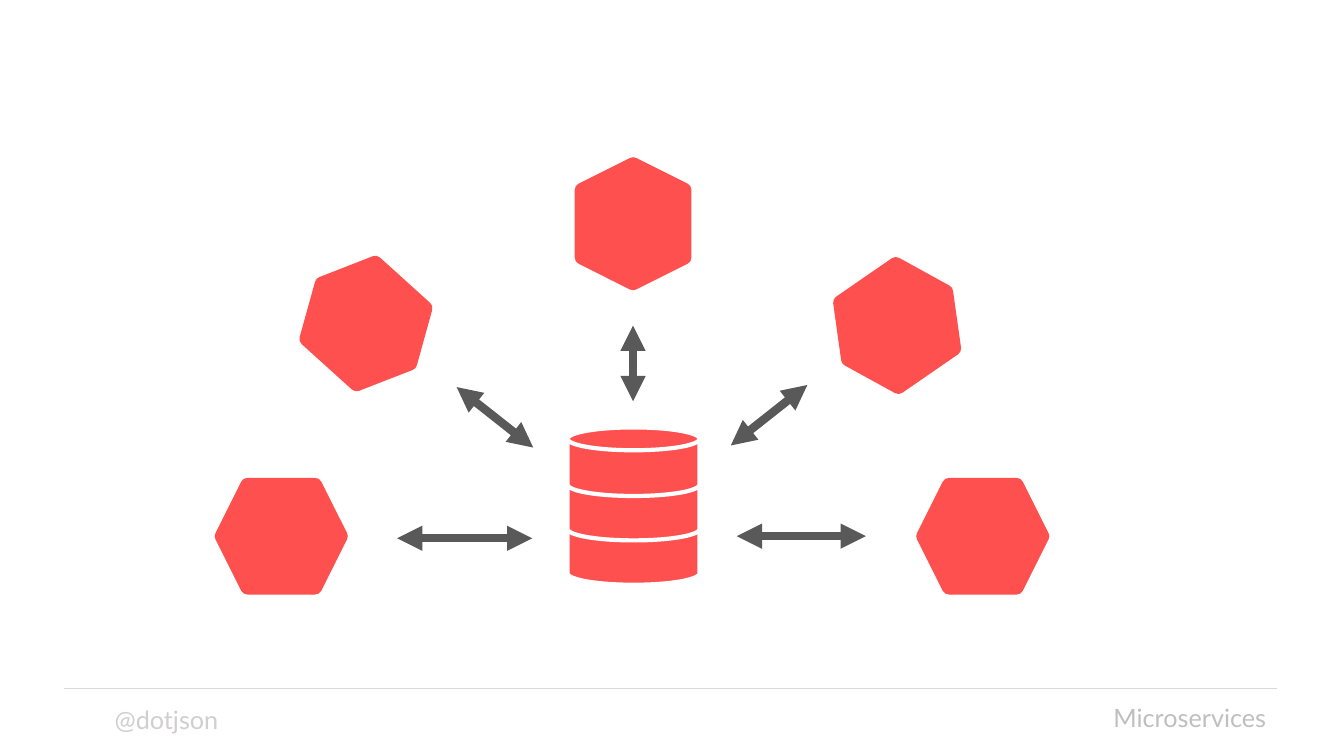
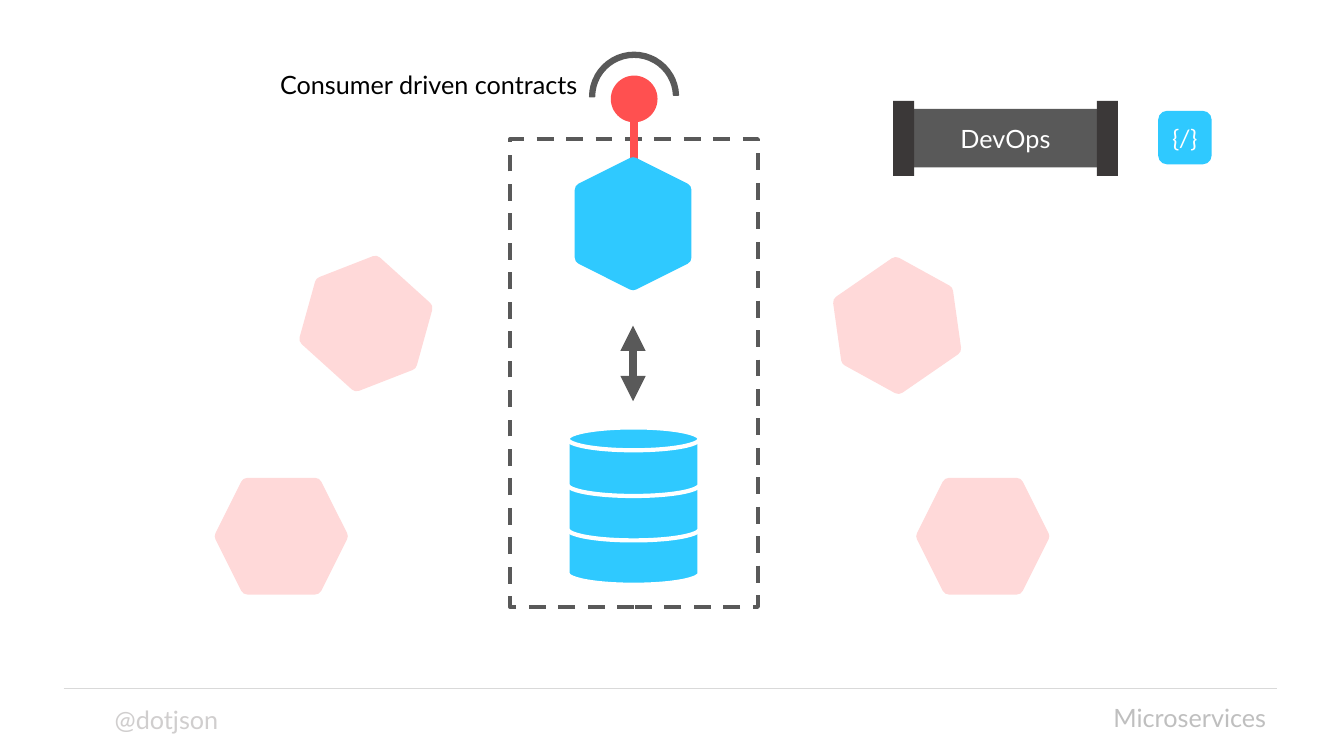
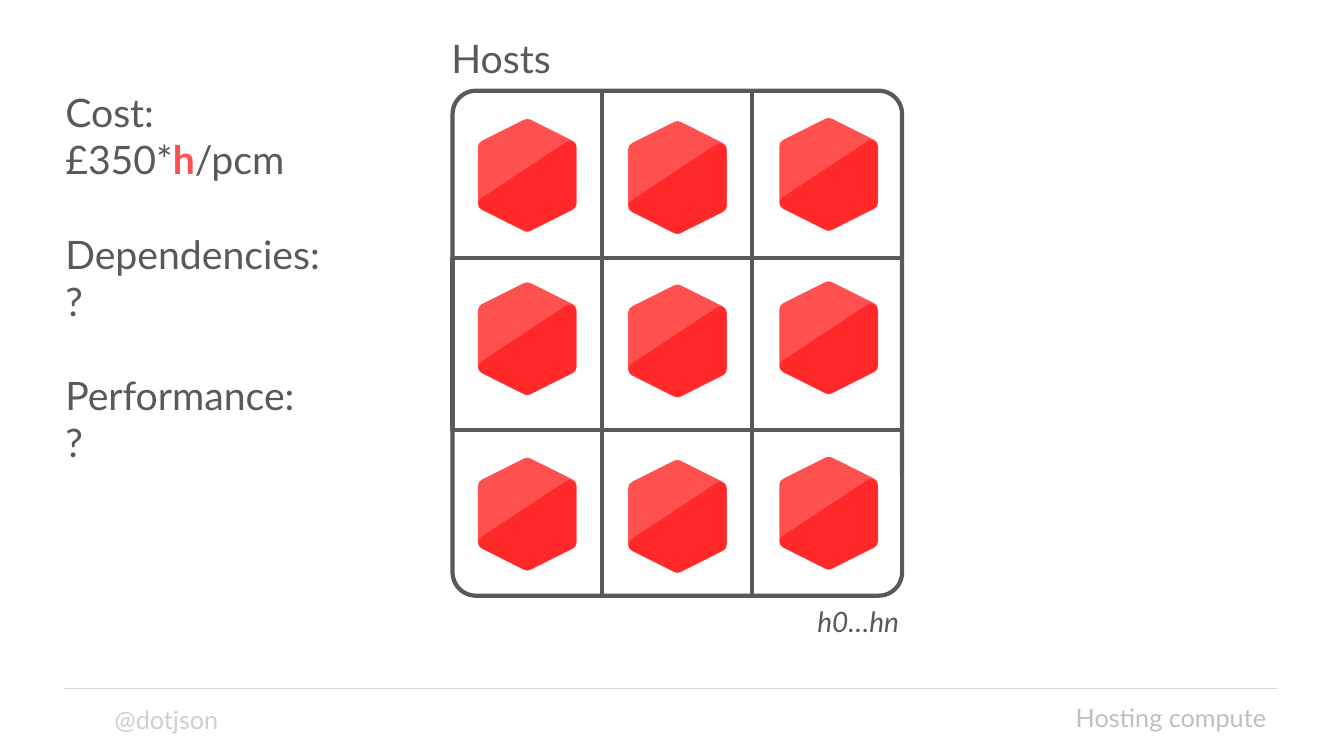
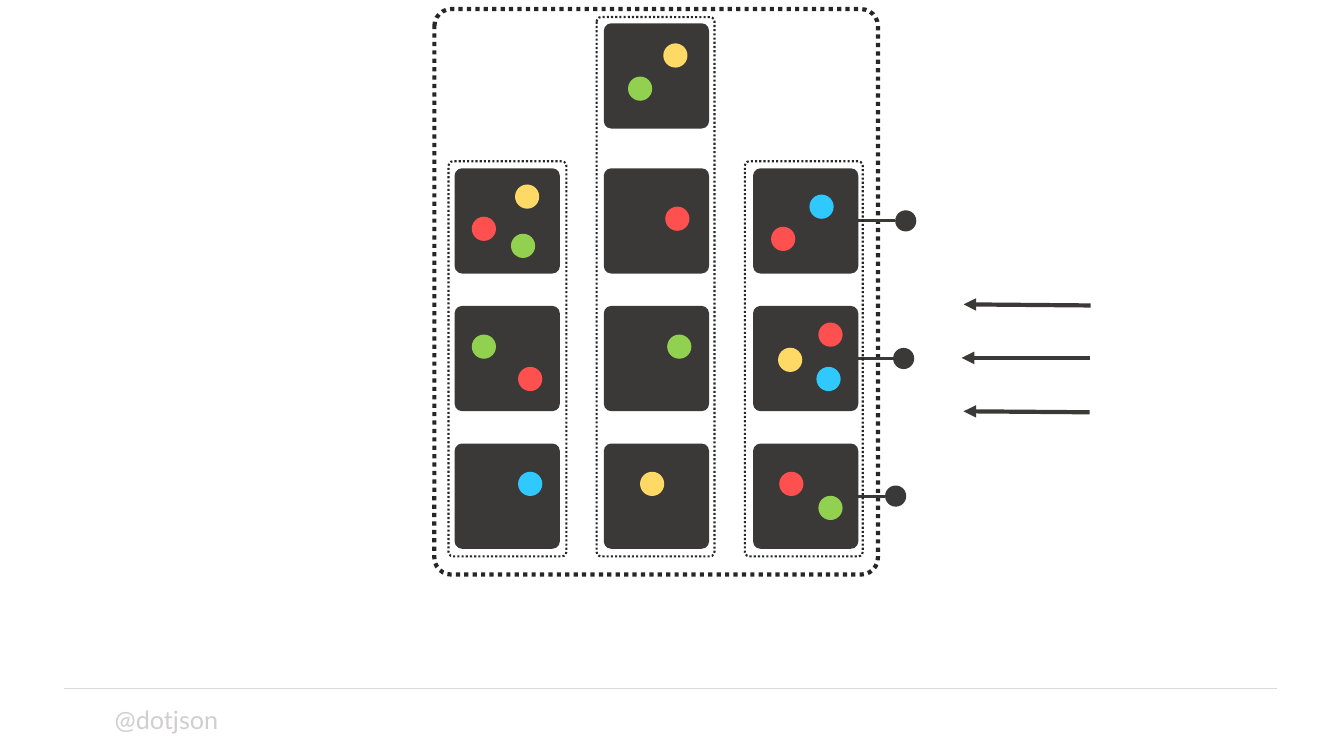
from lxml import etree
from pptx import Presentation
from pptx.dml.color import RGBColor
from pptx.enum.dml import MSO_LINE
from pptx.enum.shapes import MSO_CONNECTOR, MSO_SHAPE
from pptx.enum.text import MSO_ANCHOR, MSO_AUTO_SIZE, PP_ALIGN
from pptx.oxml.ns import qn
from pptx.util import Pt

STRAIGHT = MSO_CONNECTOR.STRAIGHT
RECT, ROUND_RECT = MSO_SHAPE.RECTANGLE, MSO_SHAPE.ROUNDED_RECTANGLE
HEXAGON, OVAL = MSO_SHAPE.HEXAGON, MSO_SHAPE.OVAL
DISK, ARC = MSO_SHAPE.FLOWCHART_MAGNETIC_DISK, MSO_SHAPE.BLOCK_ARC
DASH, DOT = MSO_LINE.DASH, MSO_LINE.ROUND_DOT
LEFT, CENTER, RIGHT = PP_ALIGN.LEFT, PP_ALIGN.CENTER, PP_ALIGN.RIGHT
TOP, MIDDLE = MSO_ANCHOR.TOP, MSO_ANCHOR.MIDDLE
NO_FIT = MSO_AUTO_SIZE.NONE
TITLE_ONLY, BLANK = 5, 6
RIGHT_SIDE = 3

COLORS = {
    "white": "FFFFFF", "black": "000000", "gray": "595959", "dark": "3B3838",
    "border": "262626", "rule": "D9D9D9", "handle": "D0CECE", "topic": "BFBFBF",
    "red": "FF5050", "deep red": "FF2929", "pale red": "FFD9D9",
    "blue": "2FC9FF", "green": "92D050", "yellow": "FFD966",
}

# Services around the shared store: left, top, rotation
TOP_SERVICE = (409.7, 123.1, 90)
OTHER_SERVICES = [(598.3, 195.8, 145.4), (659.5, 346.3, 180),
                  (158.4, 346.3, 0), (218.9, 194.4, 42.1)]
TOP_ARROW = (452.2, 232.6, 452.2, 286.6)


def color(name):
    return RGBColor.from_string(COLORS[name])


def write(para, text, size=18, ink="gray", font="Lato", bold=False,
          italic=False, align=None):
    """Add one formatted span to a paragraph."""
    if align is not None:
        para.alignment = align
    span = para.add_run()
    span.text = text
    span.font.name, span.font.size = font, Pt(size)
    span.font.bold, span.font.italic = bold, italic
    span.font.color.rgb = color(ink)


class Deck:
    def __init__(self):
        self.deck = Presentation()
        self.deck.slide_width, self.deck.slide_height = Pt(960), Pt(540)
        self.page = None

    def new_page(self, topic=None):
        """Start a slide with the footer rule, the handle and its topic."""
        layout = self.deck.slide_layouts[TITLE_ONLY if topic else BLANK]
        self.page = self.deck.slides.add_slide(layout)
        self.line(45.4, 492, 912.2, 492, "rule", 1)
        self.text(74.9, 499.7, 153.4, 29, "@dotjson", ink="handle")
        if topic:
            title = self.page.shapes.title
            title.left, title.top = Pt(653.8), Pt(498.4)
            title.width, title.height = Pt(257.8), Pt(29)
            frame = title.text_frame
            frame.auto_size, frame.vertical_anchor = NO_FIT, TOP
            write(frame.paragraphs[0], topic, ink="topic", align=RIGHT)

    def paint(self, shape, fill=None, line=None, weight=1, dash=None):
        shape.shadow.inherit = False
        if fill:
            shape.fill.solid()
            shape.fill.fore_color.rgb = color(fill)
        else:
            shape.fill.background()
        if line:
            shape.line.color.rgb = color(line)
            shape.line.width = Pt(weight)
            if dash:
                shape.line.dash_style = dash
        else:
            shape.line.fill.background()

    def shape(self, kind, left, top, width, height, adjust=(), rotation=0, **style):
        shape = self.page.shapes.add_shape(
            kind, Pt(left), Pt(top), Pt(width), Pt(height))
        for index, value in enumerate(adjust):
            shape.adjustments[index] = value
        shape.rotation = rotation
        self.paint(shape, **style)
        return shape

    def label(self, shape, text, **style):
        frame = shape.text_frame
        frame.vertical_anchor = MIDDLE
        write(frame.paragraphs[0], text, ink="white", align=CENTER, **style)

    def text(self, left, top, width, height, text, **style):
        box = self.page.shapes.add_textbox(Pt(left), Pt(top), Pt(width), Pt(height))
        box.text_frame.word_wrap = True
        para = box.text_frame.paragraphs[0]
        if text:
            write(para, text, **style)
        return box.text_frame

    def line(self, x1, y1, x2, y2, ink="gray", weight=6, head=False, tail=False):
        line = self.page.shapes.add_connector(
            STRAIGHT, Pt(x1), Pt(y1), Pt(x2), Pt(y2))
        line.line.color.rgb = color(ink)
        line.line.width = Pt(weight)
        outline = line.line._get_or_add_ln()
        for tag, wanted in (("a:headEnd", head), ("a:tailEnd", tail)):
            if wanted:
                etree.SubElement(outline, qn(tag), type="triangle")
        etree.SubElement(line._element.spPr, qn("a:effectLst"))
        return line

    def round_corners(self, shape):
        etree.SubElement(shape.line._get_or_add_ln(), qn("a:round"))

    def hexagon(self, left, top, rotation, ink="red", width=85, height=73.4):
        hexagon = self.shape(HEXAGON, left, top, width, height,
                             rotation=rotation, fill=ink, line=ink, weight=10)
        self.round_corners(hexagon)

    def store(self, ink):
        """Three stacked disks, the lowest one at the back."""
        for level in (2, 1, 0):
            self.shape(DISK, 405.4, 305.3 + 31.7 * level, 94.3, 49,
                       fill=ink, line="white", weight=3)

    def host(self, left, top):
        """A hexagon with a darker lower half."""
        self.hexagon(left, top, 90, width=70.6, height=60.5)
        points = [(Pt(left + x), Pt(top + y)) for x, y in
                  ((5, 50.4), (65.6, 10.4), (65.6, 50.4), (35.3, 65.6))]
        builder = self.page.shapes.build_freeform(*points[0])
        builder.add_line_segments(points[1:], close=True)
        shade = builder.convert_to_shape()
        self.paint(shade, "deep red", "deep red", 9.25)
        self.round_corners(shade)

    def dot(self, left, top, ink, size=17.3):
        self.shape(OVAL, left, top, size, size, fill=ink)

    def tile(self, left, top):
        return self.shape(ROUND_RECT, left, top, 75.2, 75.2, [0.071], fill="dark")


def shared_store(deck):
    deck.new_page("Microservices")
    for ends in (TOP_ARROW, (576.7, 275, 522, 318.2), (618.5, 383, 526.3, 383),
                 (283.7, 384.5, 380.2, 384.5), (326.2, 276.5, 380.9, 319.7)):
        deck.line(*ends, head=True, tail=True)
    deck.store("red")
    for service in [TOP_SERVICE] + OTHER_SERVICES:
        deck.hexagon(*service)


def single_service(deck):
    deck.new_page("Microservices")
    for service in OTHER_SERVICES:
        deck.hexagon(*service, ink="pale red")

    # Service boundary, antenna and private store
    deck.shape(RECT, 364.3, 99.4, 177.1, 334.1, line="gray", weight=3, dash=DASH)
    deck.line(452.9, 54, 452.9, 167, "red")
    deck.dot(436.3, 54, "red", 33.4)
    deck.line(*TOP_ARROW, head=True, tail=True)
    deck.hexagon(*TOP_SERVICE, ink="blue")
    deck.store("blue")
    deck.shape(ARC, 421.2, 37.4, 63.4, 63.4, [108, 214.746, 0.055],
               fill="gray", line="gray")
    deck.text(193, 46.1, 241.9, 29, "Consumer driven contracts", ink="black")

    # Delivery pipe and code package
    pipe = deck.shape(RECT, 652.3, 77.8, 131.8, 41.8, fill="gray")
    deck.label(pipe, "DevOps")
    for left in (637.9, 783.4):
        deck.shape(RECT, left, 72, 15.1, 53.6, fill="dark")
    package = deck.shape(ROUND_RECT, 827.3, 79.2, 38.2, 38.2, fill="blue")
    deck.label(package, "{/}", font="Calibri")


def hosting(deck):
    deck.new_page("Hosting compute")

    # Host frame: the middle column and row draw the inner grid
    frame = {"line": "gray", "weight": 3}
    deck.shape(RECT, 429.8, 64.8, 107.3, 360.7, **frame)
    deck.shape(RECT, 323.3, 184.3, 321.1, 123.1, **frame)
    deck.shape(ROUND_RECT, 323.3, 64.8, 321.1, 360.7, [0.052], **frame)
    for top in (95, 211.7, 337):
        for left, shift in ((341.3, 0), (448.6, 1.6), (556.6, -0.7)):
            deck.host(left, top + shift)

    # Labels and questions
    deck.text(315.4, 20.9, 318.2, 41, "Hosts", size=28)
    deck.text(576.7, 428.4, 76.3, 31.7, "h0…hn", size=20, italic=True)
    notes = deck.text(39.6, 59.8, 261.4, 312.5, "Cost:", size=28)
    price = notes.add_paragraph()
    write(price, "£350*", size=28)
    write(price, "h", size=28, ink="red", bold=True)
    write(price, "/pcm", size=28)
    for heading in ("Dependencies:", "Performance:"):
        para = notes.add_paragraph()
        para.space_before = Pt(33.6)
        write(para, heading, size=28)
        write(notes.add_paragraph(), "?", size=28)


def cluster(deck):
    deck.new_page()
    deck.shape(ROUND_RECT, 310.3, 6.5, 316.8, 403.9, [0.038],
               line="border", weight=3, dash=DOT)

    # Tiles, with an endpoint on each one in the last column
    lefts = [324.7 + 106.6 * column for column in range(3)]
    deck.tile(lefts[1], 16.6)
    for row, endpoint in enumerate((639.4, 637.9, 632.2)):
        top = 120.2 + 98.3 * row
        tiles = [deck.tile(left, top) for left in lefts]
        middle = top + 37.6
        deck.dot(endpoint, middle - 7.6, "dark", 15.1)
        link = deck.line(endpoint, middle, endpoint - 20, middle, "dark", 2.25)
        link.end_connect(tiles[-1], RIGHT_SIDE)

    # Containers by colour
    containers = {
        "red": [(337, 154.8), (475.2, 147.6), (550.8, 162), (370.1, 262.1),
                (584.6, 230.4), (556.6, 337)],
        "green": [(448.6, 54.7), (365, 167), (337, 239), (476.6, 239),
                  (584.6, 354.2)],
        "yellow": [(473.8, 31), (367.9, 131.8), (555.8, 248.4), (457.2, 337)],
        "blue": [(578.2, 139), (583.2, 262.1), (370.1, 337)],
    }
    for ink, places in containers.items():
        for left, top in places:
            deck.dot(left, top, ink)

    # Column borders share one bottom edge
    for left, top in ((320.4, 115.2), (426.2, 12.2), (532.1, 115.2)):
        deck.shape(ROUND_RECT, left, top, 84.2, 397.4 - top, [0.038],
                   line="border", weight=1.5, dash=DOT)

    # Incoming traffic
    for ends in ((779, 218.2, 688.3, 217.4), (778.3, 255.6, 686.9, 255.6),
                 (778.3, 294.5, 688.3, 293.8)):
        deck.line(*ends, ink="dark", weight=3, tail=True)


def main():
    deck = Deck()
    for build in (shared_store, single_service, hosting, cluster):
        build(deck)
    deck.deck.save("out.pptx")


if __name__ == "__main__":
    main()
